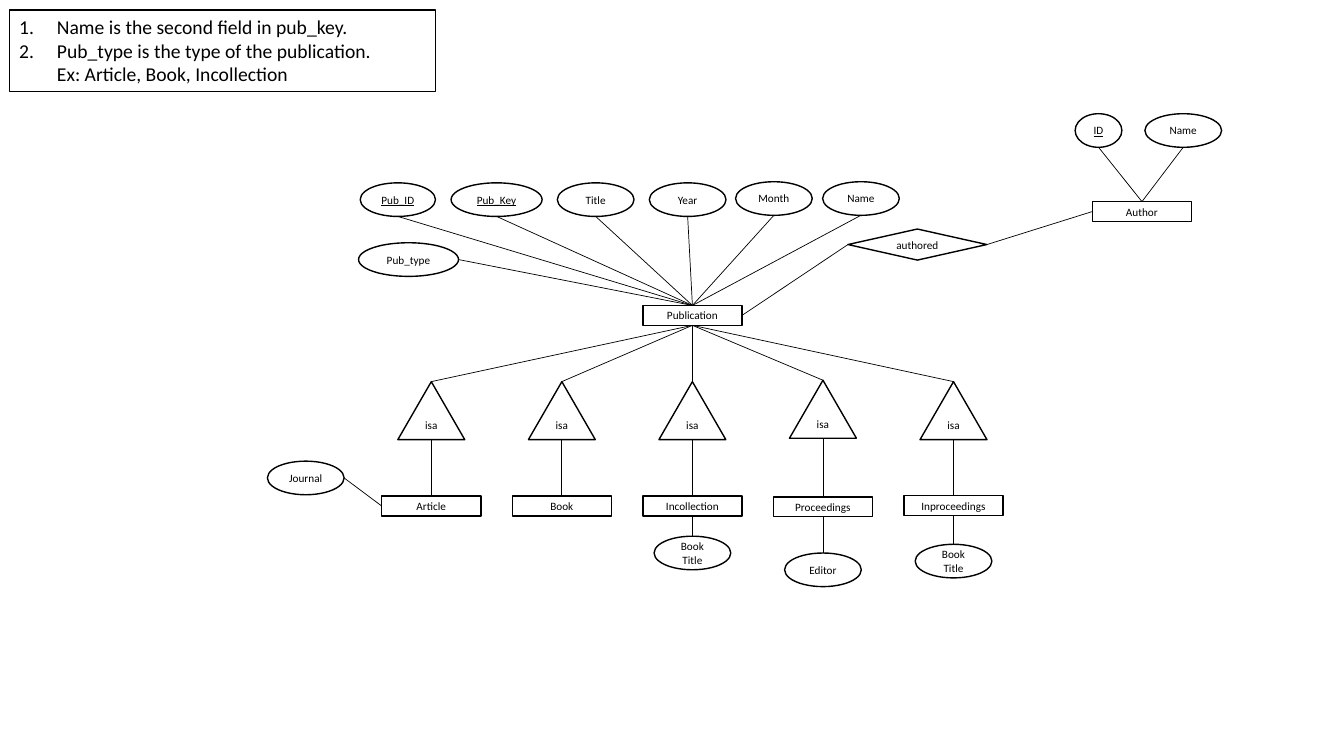
from lxml.etree import SubElement
from pptx import Presentation
from pptx.dml.color import RGBColor
from pptx.enum.shapes import MSO_CONNECTOR as Connector, MSO_SHAPE as Preset
from pptx.enum.text import MSO_ANCHOR as Anchor, PP_ALIGN as Align
from pptx.oxml.ns import qn
from pptx.util import Pt

BLACK = "000000"
WHITE = "FFFFFF"
ENTITY_WIDTH, ENTITY_HEIGHT = 70.8, 14.2
OVAL_WIDTH, OVAL_HEIGHT = 54.8, 24
ISA_WIDTH, ISA_HEIGHT = 47.8, 41.4
CENTER, COLUMN_STEP = 494.6, 93.25


def color(hex_text):
    return RGBColor.from_string(hex_text)


def outline(line, width):
    line.color.rgb = color(BLACK)
    line.width = Pt(width)


def write(para, text, size=8, underline=False, align=Align.CENTER):
    para.text = text
    para.alignment = align
    for span in para.runs:
        span.font.name = "Calibri"
        span.font.size = Pt(size)
        span.font.color.rgb = color(BLACK)
        if underline:
            span.font.underline = True


def add_node(page, preset, text, center, top, width, height, underline=False):
    box = page.shapes.add_shape(
        preset, Pt(center - width / 2), Pt(top), Pt(width), Pt(height))
    box.shadow.inherit = False
    box.fill.background()
    outline(box.line, 1)
    frame = box.text_frame
    frame.word_wrap = True
    frame.vertical_anchor = Anchor.MIDDLE
    frame.margin_left = frame.margin_right = Pt(4)
    frame.margin_top = frame.margin_bottom = 0
    write(frame.paragraphs[0], text, underline=underline)
    return box


def add_entity(page, text, center, top):
    return add_node(page, Preset.RECTANGLE, text, center, top,
                    ENTITY_WIDTH, ENTITY_HEIGHT)


def add_attribute(page, text, center, top, width=OVAL_WIDTH, underline=False):
    return add_node(page, Preset.OVAL, text, center, top,
                    width, OVAL_HEIGHT, underline)


def side_point(box, side):
    across, down = {"top": (0.5, 0), "bottom": (0.5, 1),
                    "left": (0, 0.5), "right": (1, 0.5)}[side]
    return (int(box.left + across * box.width),
            int(box.top + down * box.height))


def join(page, start, start_side, end, end_side):
    link = page.shapes.add_connector(
        Connector.STRAIGHT,
        *side_point(start, start_side), *side_point(end, end_side))
    outline(link.line, 0.5)
    SubElement(link._element.spPr, qn("a:effectLst"))


def add_numbered_note(page, items, left, top, width, height):
    box = page.shapes.add_textbox(Pt(left), Pt(top), Pt(width), Pt(height))
    box.fill.solid()
    box.fill.fore_color.rgb = color(WHITE)
    outline(box.line, 1)
    frame = box.text_frame
    frame.word_wrap = True
    for index, item in enumerate(items):
        para = frame.add_paragraph() if index else frame.paragraphs[0]
        write(para, item, size=14, align=Align.LEFT)
        layout = para._p.get_or_add_pPr()
        layout.set("marL", str(Pt(27)))
        layout.set("indent", str(-Pt(27)))
        SubElement(layout, qn("a:buFont"), typeface="+mj-lt")
        SubElement(layout, qn("a:buAutoNum"), type="arabicPeriod")


def add_publication(page):
    publication = add_entity(page, "Publication", CENTER, 218.2)
    for text, center, top, width, underline in [
        ("Pub_ID", 284.2, 130.6, 53.8, True),
        ("Pub_Key", 354.7, 130.6, 65, True),
        ("Title", 425.5, 130.6, OVAL_WIDTH, False),
        ("Year", 491.2, 130.6, OVAL_WIDTH, False),
        ("Month", 552.8, 129.8, OVAL_WIDTH, False),
        ("Name", 615, 129.8, OVAL_WIDTH, False),
    ]:
        attribute = add_attribute(page, text, center, top, width, underline)
        join(page, publication, "top", attribute, "bottom")
    kind = add_attribute(page, "Pub_type", 291.8, 173.4, 71.4)
    join(page, publication, "top", kind, "right")
    return publication


def add_subtypes(page, publication):
    subtypes = [
        ("Article", 272.6, 354.4, None, None),
        ("Book", 272.6, 354.4, None, None),
        ("Incollection", 272.6, 354.4, "Book Title", 383),
        ("Proceedings", 271.6, 354.9, "Editor", 395),
        ("Inproceedings", 272.6, 354.1, "Book Title", 388.8),
    ]
    entities = {}
    for column, (text, isa_top, top, detail, detail_top) in enumerate(subtypes):
        center = CENTER + (column - 2) * COLUMN_STEP
        isa = add_node(page, Preset.ISOSCELES_TRIANGLE, "isa", center, isa_top,
                       ISA_WIDTH, ISA_HEIGHT)
        entity = entities[text] = add_entity(page, text, center, top)
        join(page, isa, "top", publication, "bottom")
        join(page, isa, "bottom", entity, "top")
        if detail:
            attribute = add_attribute(page, detail, center, detail_top)
            join(page, entity, "bottom", attribute, "top")
    journal = add_attribute(page, "Journal", 218.4, 329.4)
    join(page, journal, "right", entities["Article"], "left")


def add_author(page, publication):
    author = add_entity(page, "Author", 815.7, 144)
    for text, center, width, underline in [
        ("ID", 784.7, 33.4, True), ("Name", 845.2, OVAL_WIDTH, False),
    ]:
        attribute = add_attribute(page, text, center, 81.2, width, underline)
        join(page, author, "top", attribute, "bottom")
    authored = add_node(page, Preset.DIAMOND, "authored",
                        655.3, 163.6, 99.2, 22.2)
    join(page, publication, "right", authored, "left")
    join(page, author, "left", authored, "right")


def main():
    deck = Presentation()
    deck.slide_width, deck.slide_height = Pt(960), Pt(540)
    page = deck.slides.add_slide(deck.slide_layouts[6])
    publication = add_publication(page)
    add_subtypes(page, publication)
    add_author(page, publication)
    add_numbered_note(page, [
        "Name is the second field in pub_key.",
        "Pub_type is the type of the publication.\vEx: Article, Book, Incollection",
    ], 6.6, 7.2, 304.5, 58.2)
    deck.save("out.pptx")


main()
